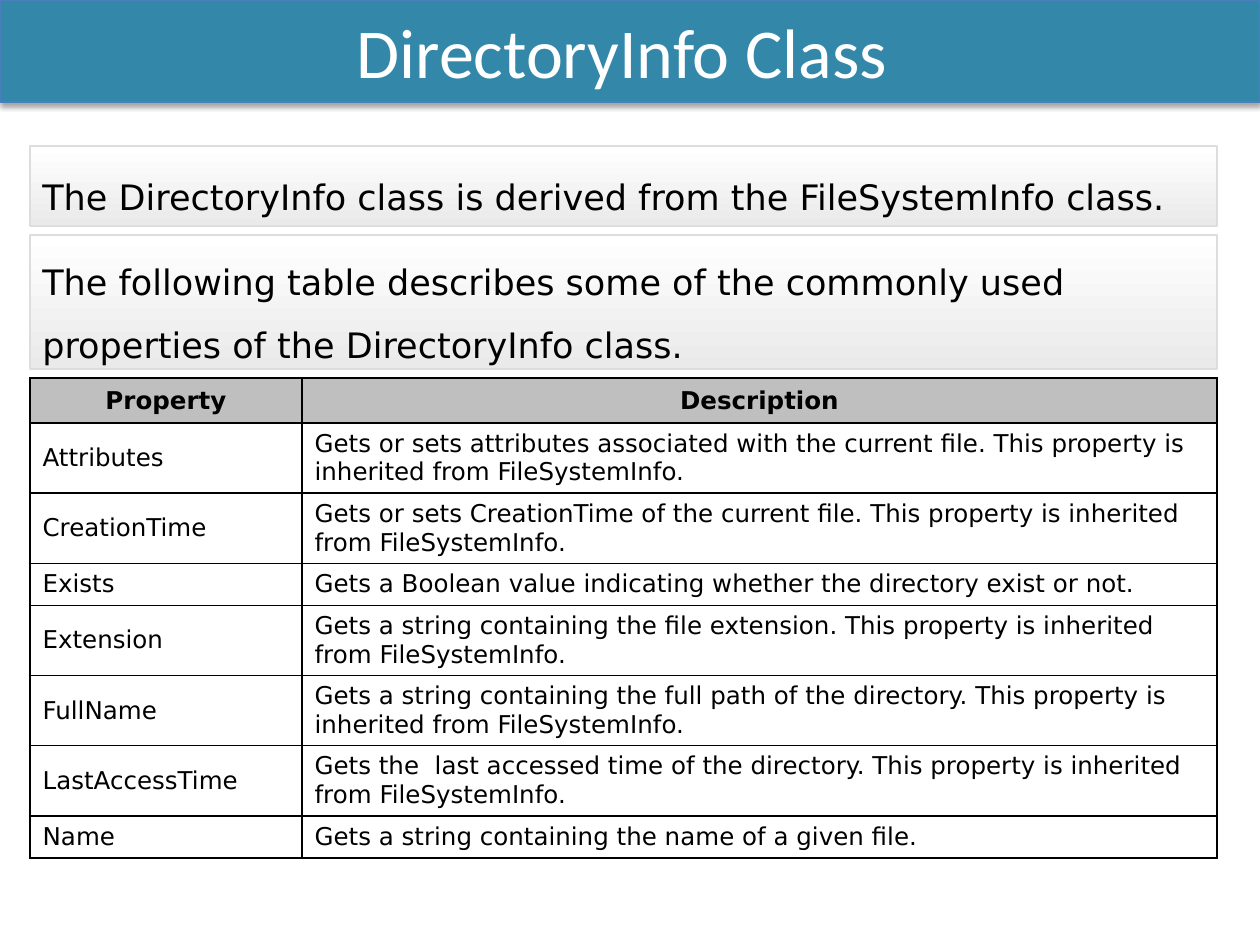
import pptx
import pptx.util
import pptx.dml.color
import pptx.enum.shapes
import pptx.enum.text
import pptx.oxml
import pptx.oxml.ns

TITLE = "DirectoryInfo Class "
# text, top, height
STATEMENTS = [
    ("The DirectoryInfo class is derived from the FileSystemInfo class.", 146, 80),
    ("The following table describes some of the commonly used properties "
     "of the DirectoryInfo class.", 235, 134),
]
# property, description, row height
PROPERTIES = [
    ("Property", "Description", 45),
    ("Attributes", "Gets or sets attributes associated with the current file. "
     "This property is inherited from FileSystemInfo.", 70),
    ("CreationTime", "Gets or sets CreationTime of the current file. "
     "This property is inherited from FileSystemInfo.", 70),
    ("Exists", "Gets a Boolean value indicating whether the directory exist or not.", 42),
    ("Extension", "Gets a string containing the file extension. "
     "This property is inherited from FileSystemInfo.", 70),
    ("FullName", "Gets a string containing the full path of the directory. "
     "This property is inherited from FileSystemInfo.", 70),
    ("LastAccessTime", "Gets the  last accessed time of the directory. "
     "This property is inherited from FileSystemInfo.", 70),
    ("Name", "Gets a string containing the name of a given file.", 42),
]
COLORS = {
    "banner": "3388A9", "banner_line": "4B7EBC", "white": "FFFFFF", "text": "000000",
    "panel_end": "EAEAEA", "panel_line": "DDDDDD", "header": "BFBFBF",
}
SLIDE_W, SLIDE_H, BANNER_H = 1260, 945, 102
LEFT, TABLE_TOP = 30, 378
COLUMNS = [272, 915]
BODY_FONT = "DejaVu Sans"
NAMESPACE = pptx.oxml.ns.nsdecls("a")
CENTER = pptx.enum.text.PP_ALIGN.CENTER
MIDDLE = pptx.enum.text.MSO_ANCHOR.MIDDLE


def px(value):
    return pptx.util.Emu(round(value * 914400 / 126))


def rgb(name):
    return pptx.dml.color.RGBColor.from_string(COLORS[name])


def write(frame, text, size, font=BODY_FONT, color="text", bold=False, align=None):
    frame.word_wrap = True
    paragraph = frame.paragraphs[0]
    paragraph.alignment = align or pptx.enum.text.PP_ALIGN.LEFT
    run = paragraph.add_run()
    run.text = text
    run.font.size = pptx.util.Pt(size)
    run.font.name = font
    run.font.bold = bold
    run.font.color.rgb = rgb(color)
    return paragraph


def add_box(slide, left, top, width, height, line, line_width):
    box = slide.shapes.add_shape(pptx.enum.shapes.MSO_SHAPE.RECTANGLE,
                                 px(left), px(top), px(width), px(height))
    box.shadow.inherit = False
    box.line.color.rgb = rgb(line)
    box.line.width = pptx.util.Pt(line_width)
    box.text_frame.vertical_anchor = MIDDLE
    return box


def add_banner(slide):
    banner = add_box(slide, 0, 0, SLIDE_W, BANNER_H, "banner_line", 0.75)
    banner.fill.solid()
    banner.fill.fore_color.rgb = rgb("banner")
    effects = banner._element.spPr.find(pptx.oxml.ns.qn("a:effectLst"))
    effects.append(pptx.oxml.parse_xml(
        f'<a:outerShdw {NAMESPACE} blurRad="{pptx.util.Pt(3.1)}" '
        f'dist="{pptx.util.Pt(1.8)}" dir="5400000" rotWithShape="0">'
        f'<a:srgbClr val="{COLORS["text"]}"><a:alpha val="35000"/></a:srgbClr>'
        '</a:outerShdw>'))
    write(banner.text_frame, TITLE, 40, "Calibri", "white", align=CENTER)


def add_statement(slide, text, top, height):
    panel = add_box(slide, LEFT, top, sum(COLUMNS), height, "panel_line", 1)
    panel.fill.gradient()
    panel.fill.gradient_angle = 270
    for stop, color in zip(panel.fill.gradient_stops, ("white", "panel_end")):
        stop.color.rgb = rgb(color)
    write(panel.text_frame, text, 20).line_spacing = 1.5


def add_borders(cell):
    properties = cell._tc.get_or_add_tcPr()
    for position, side in enumerate(("lnL", "lnR", "lnT", "lnB")):
        properties.insert(position, pptx.oxml.parse_xml(
            f'<a:{side} {NAMESPACE} w="{pptx.util.Pt(1)}"><a:solidFill>'
            f'<a:srgbClr val="{COLORS["text"]}"/></a:solidFill></a:{side}>'))


def add_property_table(slide):
    heights = [height for *_, height in PROPERTIES]
    table = slide.shapes.add_table(
        len(PROPERTIES), len(COLUMNS), px(LEFT), px(TABLE_TOP),
        px(sum(COLUMNS)), px(sum(heights))).table
    for column, width in zip(table.columns, COLUMNS):
        column.width = px(width)
    for row_index, (row, (*texts, height)) in enumerate(zip(table.rows, PROPERTIES)):
        row.height = px(height)
        is_header = row_index == 0
        for cell, text in zip(row.cells, texts):
            cell.vertical_anchor = MIDDLE
            if is_header:
                cell.fill.solid()
                cell.fill.fore_color.rgb = rgb("header")
            else:
                cell.fill.background()
            add_borders(cell)
            write(cell.text_frame, text, 14, bold=is_header,
                  align=CENTER if is_header else None)


def main():
    deck = pptx.Presentation()
    deck.slide_width, deck.slide_height = px(SLIDE_W), px(SLIDE_H)
    slide = deck.slides.add_slide(deck.slide_layouts[6])
    add_property_table(slide)
    add_banner(slide)
    for statement in STATEMENTS:
        add_statement(slide, *statement)
    deck.save("out.pptx")


if __name__ == "__main__":
    main()
